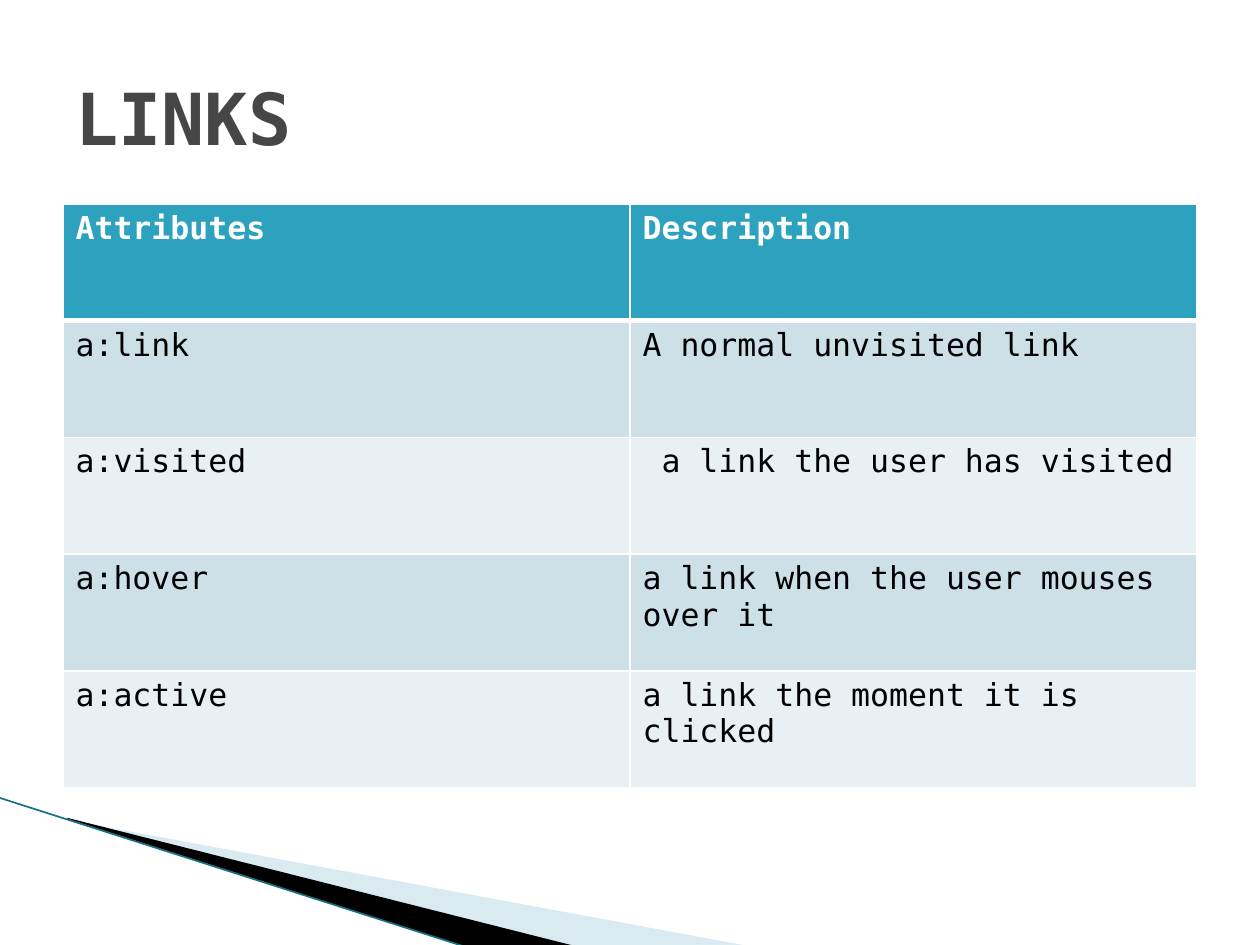
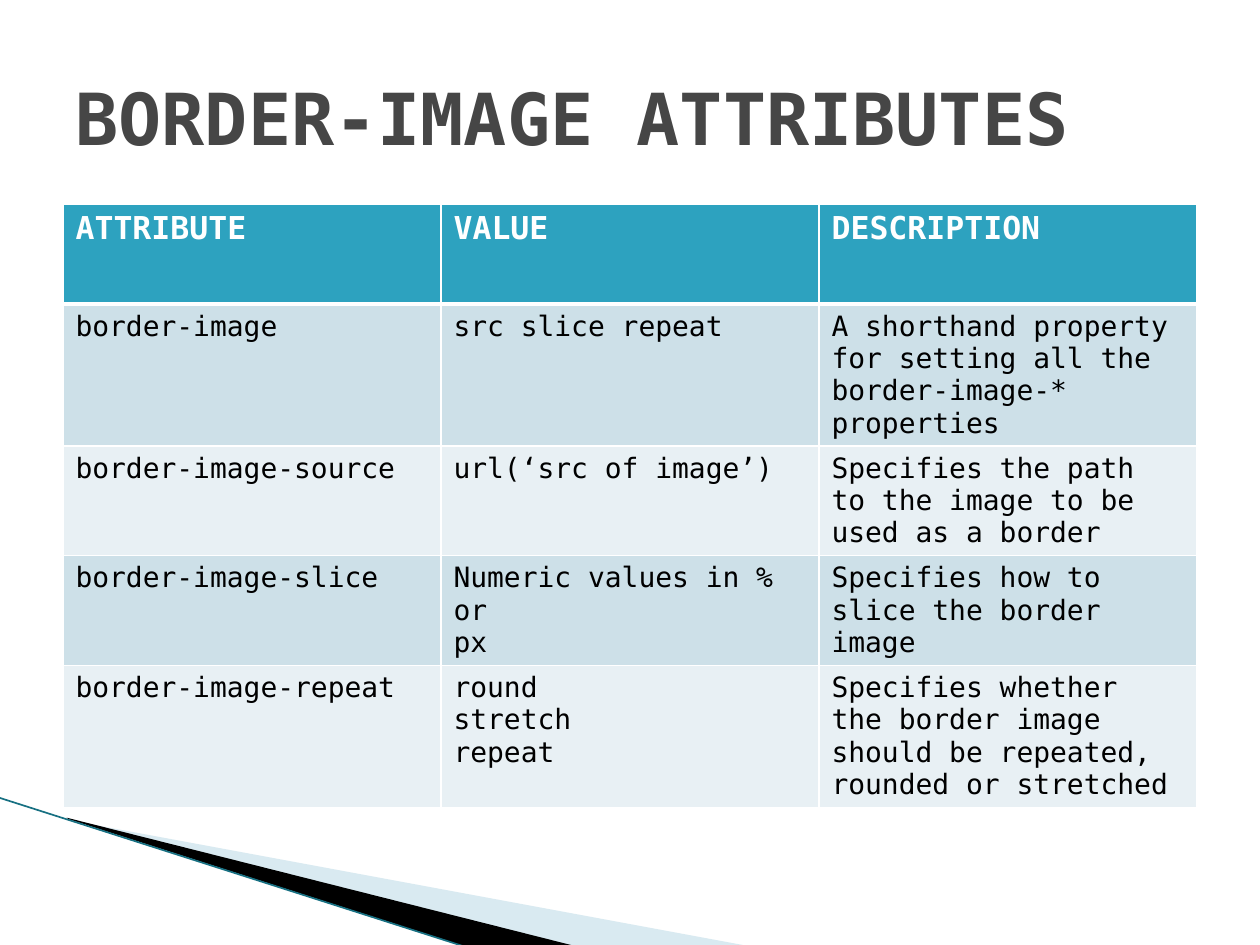
from lxml import etree
from pptx import Presentation
from pptx.dml.color import RGBColor
from pptx.enum import shapes, text
from pptx.oxml import ns
from pptx.util import Inches, Pt

FONT = "DejaVu Sans Mono"
WHITE = RGBColor(0xFF, 0xFF, 0xFF)
BLACK = RGBColor(0x00, 0x00, 0x00)
TITLE_GREY = RGBColor(0x46, 0x46, 0x46)
HEADER_TEAL = RGBColor(0x2D, 0xA2, 0xBF)
BAND_DARK = RGBColor(0xCD, 0xE0, 0xE8)
BAND_LIGHT = RGBColor(0xE8, 0xF0, 0xF4)
SWOOSH_BLUE = RGBColor(0xA0, 0xCB, 0xDC)
SWOOSH_LINE = RGBColor(0x17, 0x70, 0x82)

LEFT, WIDTH = 0.5, 9

LINK_ROWS = [
    ["Attributes", "Description"],
    ["a:link\u00a0", "A normal unvisited link"],
    ["a:visited", " a link the user has visited"],
    ["a:hover", "a link when the user mouses over it"],
    ["a:active", "a link the moment it is clicked"],
]

BORDER_IMAGE_ROWS = [
    ["ATTRIBUTE", "VALUE", "DESCRIPTION"],
    ["border-image", "src slice repeat",
     "A shorthand property for setting all the border-image-* properties"],
    ["border-image-source", "url(\u2018src of image\u2019)",
     "Specifies the path to the image to be used as a border"],
    ["border-image-slice", "Numeric values in % or\npx",
     "Specifies how to slice the border image"],
    ["border-image-repeat", "round\nstretch\nrepeat",
     "Specifies whether the border image should be repeated, "
     "rounded or stretched"],
]


def style_text(tf, size, color, bold):
    for p in tf.paragraphs:
        p.font.name = FONT
        p.font.size = Pt(size)
        p.font.color.rgb = color
        p.font.bold = bold


def add_wedge(slide, points, color, opacity=100):
    corners = [(Inches(x), Inches(y)) for x, y in points]
    builder = slide.shapes.build_freeform(*corners[0])
    builder.add_line_segments(corners[1:], close=True)
    sp = builder.convert_to_shape()
    sp.shadow.inherit = False
    sp.line.fill.background()
    sp.fill.solid()
    sp.fill.fore_color.rgb = color
    if opacity < 100:
        clr = sp._element.spPr.find(".//" + ns.qn("a:srgbClr"))
        etree.SubElement(clr, ns.qn("a:alpha"), val=str(opacity * 1000))


def add_swoosh(slide):
    """Corner decoration shared by all slides."""
    add_wedge(slide, [(0.55, 6.51), (5.95, 7.51), (4.56, 7.51), (0.55, 6.5)],
              SWOOSH_BLUE, opacity=40)
    add_wedge(slide, [(0.53, 6.49), (4.57, 7.51), (3.72, 7.52), (0.54, 6.5)],
              BLACK)
    line = slide.shapes.add_connector(
        shapes.MSO_CONNECTOR.STRAIGHT,
        Inches(-0.01), Inches(6.33), Inches(3.71), Inches(7.52))
    line.line.color.rgb = SWOOSH_LINE
    line.line.width = Pt(0.95)
    etree.SubElement(line._element.spPr, ns.qn("a:effectLst"))


def add_title(slide, title):
    box = slide.shapes.add_textbox(
        Inches(LEFT), Inches(0.3), Inches(WIDTH), Inches(1.25))
    tf = box.text_frame
    tf.word_wrap = True
    tf.vertical_anchor = text.MSO_ANCHOR.MIDDLE
    tf.text = title
    style_text(tf, 41, TITLE_GREY, True)


def set_borders(cell, top, bottom):
    """White rules; widths of the top and bottom ones in points."""
    tc_pr = cell._tc.get_or_add_tcPr()
    for side, width in (("L", 1), ("R", 1), ("T", top), ("B", bottom)):
        ln = etree.SubElement(tc_pr, ns.qn("a:ln" + side), w=str(Pt(width)))
        fill = etree.SubElement(ln, ns.qn("a:solidFill"))
        etree.SubElement(fill, ns.qn("a:srgbClr"), val=str(WHITE))


def add_banded_table(slide, rows, height, body_size):
    """Equal rows share the height; long text makes its row grow."""
    table = slide.shapes.add_table(
        len(rows), len(rows[0]), Inches(LEFT), Inches(1.62),
        Inches(WIDTH), Inches(height)).table
    for i, row in enumerate(rows):
        header = i == 0
        if header:
            band = HEADER_TEAL
        else:
            band = BAND_DARK if i % 2 else BAND_LIGHT
        for j, value in enumerate(row):
            cell = table.cell(i, j)
            cell.text = value
            style_text(cell.text_frame, 18 if header else body_size,
                       WHITE if header else BLACK, header)
            set_borders(cell, top=3 if i == 1 else 1, bottom=3 if header else 1)
            cell.fill.solid()
            cell.fill.fore_color.rgb = band


def add_table_slide(prs, title, rows, height, body_size):
    slide = prs.slides.add_slide(prs.slide_layouts[6])
    add_swoosh(slide)
    add_banded_table(slide, rows, height, body_size)
    add_title(slide, title)


def main():
    prs = Presentation()
    prs.slide_width, prs.slide_height = Inches(10), Inches(7.5)
    add_table_slide(prs, "LINKS", LINK_ROWS, 4.63, 18)
    add_table_slide(prs, "BORDER-IMAGE ATTRIBUTES", BORDER_IMAGE_ROWS, 3.96, 16)
    prs.save("out.pptx")


main()
